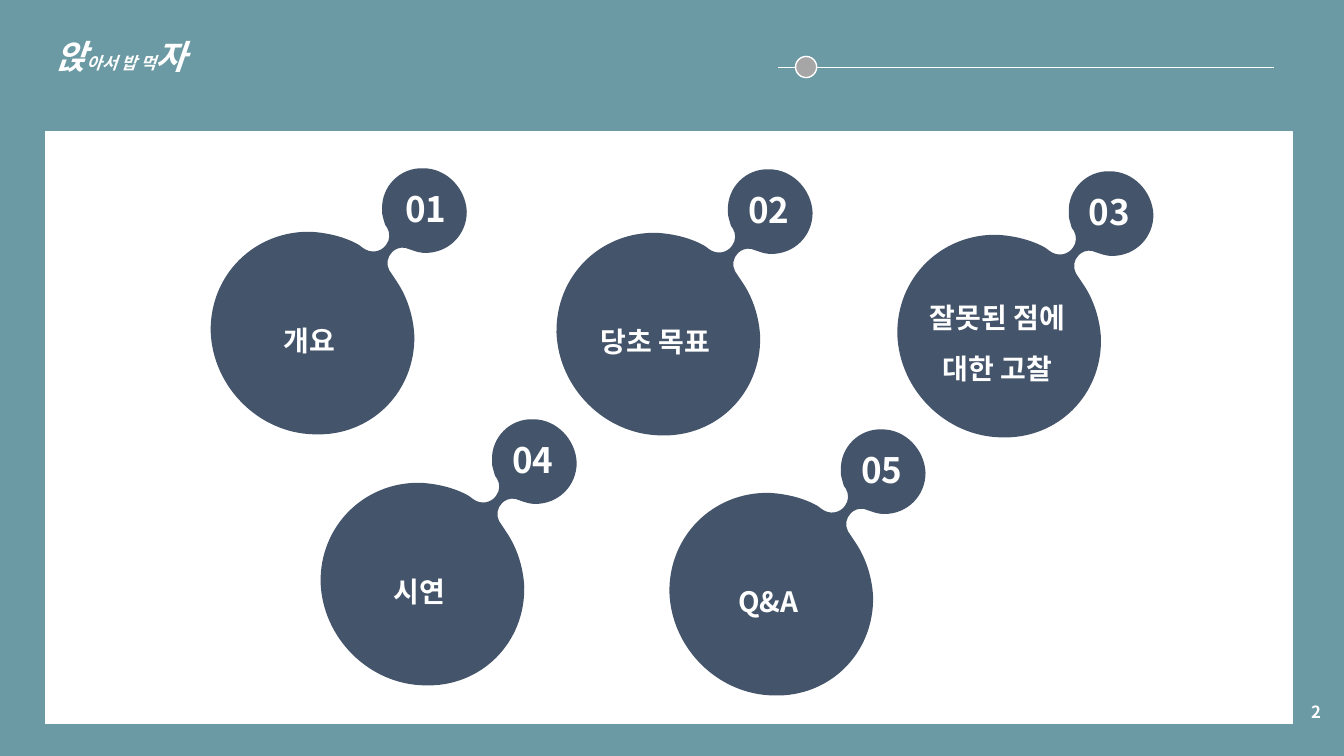
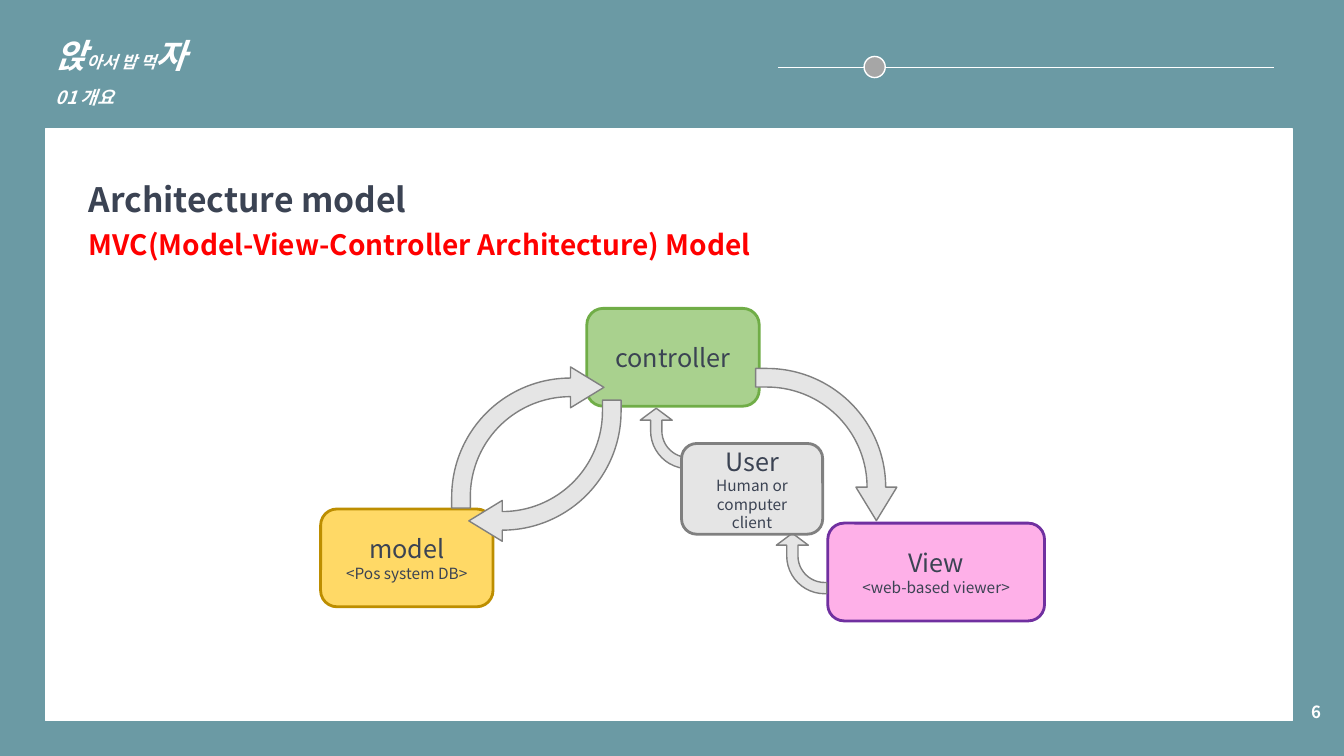
from dataclasses import dataclass
from math import sqrt

from pptx import Presentation
from pptx.dml.color import RGBColor
from pptx.enum.shapes import MSO_CONNECTOR, MSO_SHAPE
from pptx.enum.text import MSO_ANCHOR, MSO_AUTO_SIZE, PP_ALIGN
from pptx.oxml.ns import qn
from pptx.util import Inches, Pt
from lxml.etree import SubElement

FONT = "Noto Sans CJK KR"
COLORS = {
    "background": "6B9AA4", "white": "FFFFFF", "marker": "A6A6A6",
    "blob": "44546A", "ink": "3B4353", "red": "FF0000",
    "gray": "E5E5E5", "gray_line": "808080",
    "yellow": "FFD966", "yellow_line": "BD8E00",
    "green": "A9D18E", "green_line": "70AD47",
    "pink": "FEB0E8", "pink_line": "7030A0",
}
TITLE_ONLY = 5

# Outline of the first topic blob as it stands on the slide:
# pairs are straight segments, sextuples are Bézier curves.
BLOB_CENTER = (3.48, 2.93)
BLOB_SIZE = (2.06, 3.04)
BLOB_START = (4.2, 1.67)
BLOB_SEGMENTS = [
    (4.43, 1.67, 4.62, 1.87, 4.63, 2.1),
    (4.63, 2.33, 4.45, 2.51, 4.22, 2.51),
    (4.18, 2.51, 4.14, 2.5, 4.11, 2.49),
    (4.02, 2.46),
    (3.97, 2.45, 3.92, 2.47, 3.89, 2.5),
    (3.84, 2.55, 3.83, 2.62, 3.86, 2.68),
    (3.9, 2.74), (3.94, 2.8),
    (4.04, 2.95, 4.1, 3.14, 4.11, 3.33),
    (4.12, 3.89, 3.68, 4.33, 3.12, 4.31),
    (2.57, 4.3, 2.11, 3.84, 2.09, 3.29),
    (2.08, 2.73, 2.52, 2.29, 3.08, 2.3),
    (3.25, 2.31, 3.42, 2.35, 3.56, 2.43),
    (3.6, 2.46),
    (3.68, 2.52, 3.78, 2.5, 3.83, 2.43),
    (3.87, 2.38, 3.87, 2.31, 3.84, 2.26),
    (3.82, 2.23), (3.8, 2.16),
    (3.79, 2.14, 3.79, 2.11, 3.79, 2.08),
    (3.78, 1.85, 3.97, 1.66, 4.2, 1.67),
]


@dataclass
class Topic:
    label: str
    left: float
    top: float
    label_dx: float = -0.18
    label_dy: float = 1.58
    label_width: float = 1.6
    number_dx: float = 1.44


@dataclass
class Node:
    name: str
    detail: str
    left: float
    top: float
    width: float
    height: float
    color: str


@dataclass
class BentArrow:
    left: float
    top: float
    rotation: int
    large: bool = True


TOPICS = [
    Topic("개요", 2.45, 1.41, number_dx=1.47),
    Topic("당초 목표", 5.88, 1.42),
    Topic("잘못된 점에 대한 고찰", 9.26, 1.44, -0.26, 1.33, 1.78),
    Topic("시연", 3.54, 3.9),
    Topic("Q&A", 7, 4),
]
MODEL = Node("model", "<Pos system DB>", 3.18, 5.05, 1.71, 0.97, "yellow")
CONTROLLER = Node("controller", "", 5.82, 3.06, 1.71, 0.97, "green")
VIEW = Node("View", "<web-based viewer>", 8.21, 5.19, 2.15, 0.97, "pink")
USER = Node("User", "Human or computer client", 6.76, 4.4, 1.4, 0.9, "gray")
ARROWS = [
    BentArrow(4.48, 3.64, 0),
    BentArrow(7.44, 3.71, 90),
    BentArrow(4.65, 3.97, 180),
    BentArrow(7.65, 5.34, 270, large=False),
    BentArrow(6.3, 4.1, 270, large=False),
]


def rgb(name: str) -> RGBColor:
    return RGBColor.from_string(COLORS[name])


def add_run(p, text: str, size: float, color: str = "white",
            bold: bool = True, italic: bool = False) -> None:
    r = p.add_run()
    r.text = text
    font = r.font
    font.name, font.size, font.bold, font.italic = FONT, Pt(size), bold, italic
    font.color.rgb = rgb(color)
    SubElement(r._r.get_or_add_rPr(), qn("a:ea"), typeface=FONT)


def add_text(shapes, text: str, box: tuple, size: float, align=PP_ALIGN.CENTER,
             spacing: float = 1.0, wrap: bool = True, anchor=MSO_ANCHOR.TOP) -> None:
    tf = shapes.add_textbox(*map(Inches, box)).text_frame
    tf.word_wrap = wrap
    tf.vertical_anchor = anchor
    p = tf.paragraphs[0]
    p.alignment, p.line_spacing = align, spacing
    add_run(p, text, size)


def style(sp, fill: str, line: str = "", width: float = 1) -> None:
    sp.shadow.inherit = False
    sp.fill.solid()
    sp.fill.fore_color.rgb = rgb(fill)
    if line:
        sp.line.color.rgb = rgb(line)
        sp.line.width = Pt(width)
    else:
        sp.line.fill.background()


def add_shape(s, kind, box: tuple, fill: str, line: str, width: float = 1):
    sp = s.shapes.add_shape(kind, *map(Inches, box))
    style(sp, fill, line, width)
    return sp


def add_frame(prs, number: int, marker_left: float, panel_top: float,
              title_top: float, title_height: float, section: str = ""):
    """Add a slide with header, progress line, panel and number; return it and the panel."""
    s = prs.slides.add_slide(prs.slide_layouts[TITLE_ONLY])
    title = s.shapes.title
    title.left, title.top, title.width, title.height = map(
        Inches, (0.45, title_top, 4.63, title_height))
    tf = title.text_frame
    tf.word_wrap, tf.auto_size = True, MSO_AUTO_SIZE.NONE
    tf.vertical_anchor = MSO_ANCHOR.TOP
    p = tf.paragraphs[0]
    for text, size in (("앉", 24), ("아서 밥 먹", 12), ("자", 24)):
        add_run(p, text, size, italic=True)
    if section:
        add_run(tf.add_paragraph(), section, 13, italic=True)
    for p in tf.paragraphs:
        p.alignment, p.line_spacing = PP_ALIGN.LEFT, 1.5

    track = s.shapes.add_connector(
        MSO_CONNECTOR.STRAIGHT, *map(Inches, (7.72, 0.67, 12.64, 0.67)))
    track.line.color.rgb = rgb("white")
    track.line.width = Pt(0.5)
    SubElement(track._element.spPr, qn("a:effectLst"))
    add_shape(s, MSO_SHAPE.OVAL, (marker_left, 0.56, 0.21, 0.21), "marker", "white")
    panel = add_shape(s, MSO_SHAPE.RECTANGLE, (0.45, panel_top, 12.37, 5.87),
                      "white", "white")
    add_text(s.shapes, str(number), (10.2, 6.86, 3, 0.4), 12, PP_ALIGN.RIGHT,
             anchor=MSO_ANCHOR.MIDDLE)
    return s, panel


def upright(x: float, y: float) -> tuple:
    """Turn an outline point back by 45 degrees, measured from the blob's box corner."""
    dx, dy = x - BLOB_CENTER[0], y - BLOB_CENTER[1]
    return (Inches((dx + dy) / sqrt(2) + BLOB_SIZE[0] / 2),
            Inches((dy - dx) / sqrt(2) + BLOB_SIZE[1] / 2))


def add_blob(shapes, left: float, top: float) -> None:
    """Add a freeform of the blob's box, then give it the curved outline."""
    right, bottom = left + BLOB_SIZE[0], top + BLOB_SIZE[1]
    builder = shapes.build_freeform(Inches(left), Inches(top))
    builder.add_line_segments([(Inches(x), Inches(y)) for x, y in
                               ((right, top), (right, bottom), (left, bottom))])
    blob = builder.convert_to_shape()
    outline = next(blob._element.iter(qn("a:path")))
    for command in list(outline):
        outline.remove(command)
    for i, seg in enumerate([BLOB_START, *BLOB_SEGMENTS]):
        tag = "a:moveTo" if i == 0 else "a:lnTo" if len(seg) == 2 else "a:cubicBezTo"
        command = SubElement(outline, qn(tag))
        for x, y in zip(seg[::2], seg[1::2]):
            px, py = upright(x, y)
            SubElement(command, qn("a:pt"), x=str(int(px)), y=str(int(py)))
    SubElement(outline, qn("a:close"))
    blob.rotation = 45
    style(blob, "blob")


def add_topic(s, number: int, topic: Topic) -> None:
    shapes = s.shapes.add_group_shape().shapes
    add_blob(shapes, topic.left, topic.top)
    add_text(shapes, topic.label,
             (topic.left + topic.label_dx, topic.top + topic.label_dy,
              topic.label_width, 0.54), 20, spacing=1.5)
    add_text(shapes, f"{number:02}",
             (topic.left + topic.number_dx, topic.top + 0.4, 0.61, 0.52), 25, wrap=False)


def add_node(s, node: Node) -> None:
    sp = add_shape(s, MSO_SHAPE.ROUNDED_RECTANGLE,
                   (node.left, node.top, node.width, node.height),
                   node.color, node.color + "_line", 2)
    tf = sp.text_frame
    tf.word_wrap, tf.vertical_anchor = True, MSO_ANCHOR.MIDDLE
    add_run(tf.paragraphs[0], node.name, 18, "ink", bold=False)
    if node.detail:
        add_run(tf.add_paragraph(), node.detail, 11, "ink", bold=False)
    for p in tf.paragraphs:
        p.alignment = PP_ALIGN.CENTER


def add_bent_arrow(s, arrow: BentArrow) -> None:
    size = (1.51, 1.4) if arrow.large else (0.6, 0.5)
    bends = (0.132, 0.145, 0.237, 0.844) if arrow.large else (0.223, 0.318, 0.237, 0.753)
    sp = add_shape(s, MSO_SHAPE.BENT_ARROW, (arrow.left, arrow.top, *size),
                   "gray", "gray_line")
    sp.rotation = arrow.rotation
    for i, bend in enumerate(bends):
        sp.adjustments[i] = bend


def contents_slide(prs) -> None:
    s, _ = add_frame(prs, 2, 7.89, 1.31, 0.11, 0.63)
    for number, topic in enumerate(TOPICS, 1):
        add_topic(s, number, topic)


def architecture_slide(prs) -> None:
    s, panel = add_frame(prs, 6, 8.57, 1.28, 0.1, 0.99, "01 개요")
    tf = panel.text_frame
    tf.word_wrap, tf.vertical_anchor = True, MSO_ANCHOR.TOP
    tf.margin_left, tf.margin_top = Inches(0.43), Inches(0.5)
    heading, subheading = tf.paragraphs[0], tf.add_paragraph()
    add_run(heading, "Architecture model", 24, "ink")
    add_run(subheading, "MVC(Model-View-Controller Architecture) Model", 20, "red")
    subheading.space_before = Pt(5.5)
    heading.alignment = subheading.alignment = PP_ALIGN.LEFT
    for node in (MODEL, CONTROLLER, VIEW):
        add_node(s, node)
    for arrow in ARROWS:
        add_bent_arrow(s, arrow)
    add_node(s, USER)


def main() -> None:
    prs = Presentation()
    prs.slide_width, prs.slide_height = Inches(13.33), Inches(7.5)
    fill = prs.slide_master.background.fill
    fill.solid()
    fill.fore_color.rgb = rgb("background")
    contents_slide(prs)
    architecture_slide(prs)
    prs.save("out.pptx")


if __name__ == "__main__":
    main()
